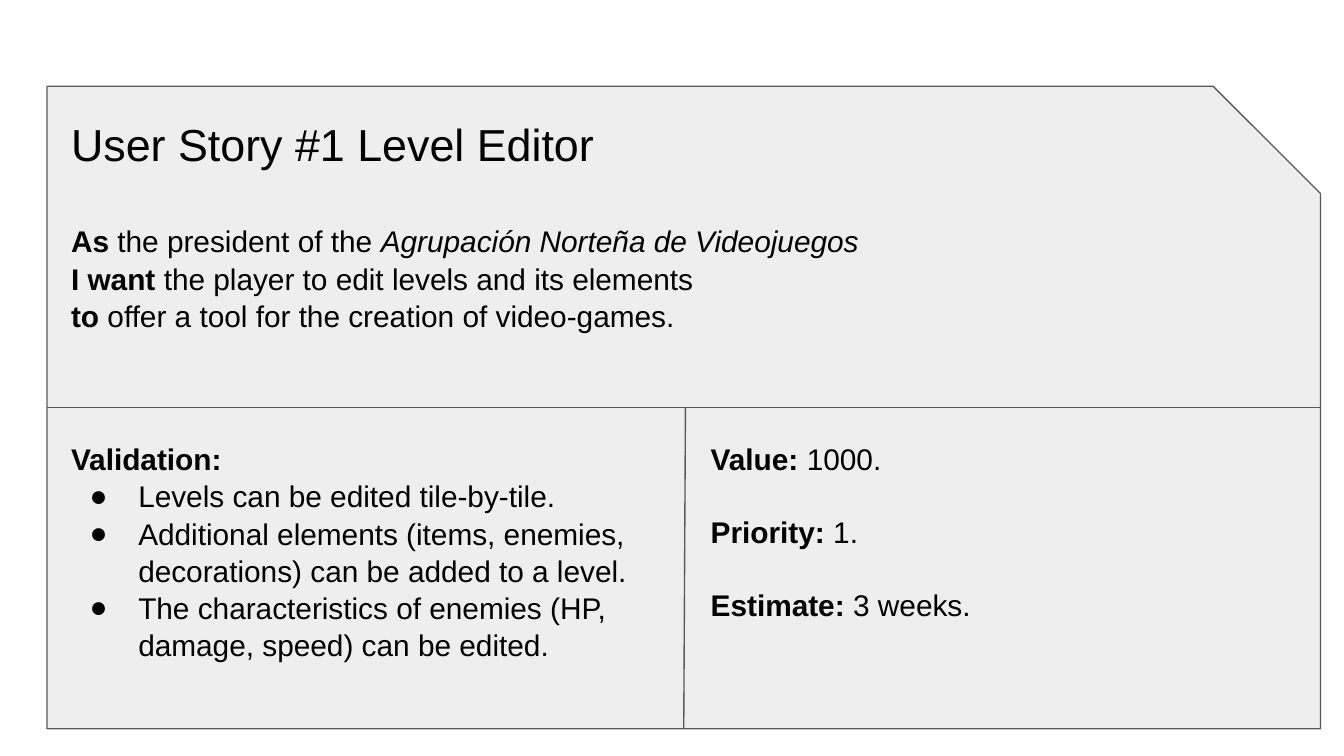
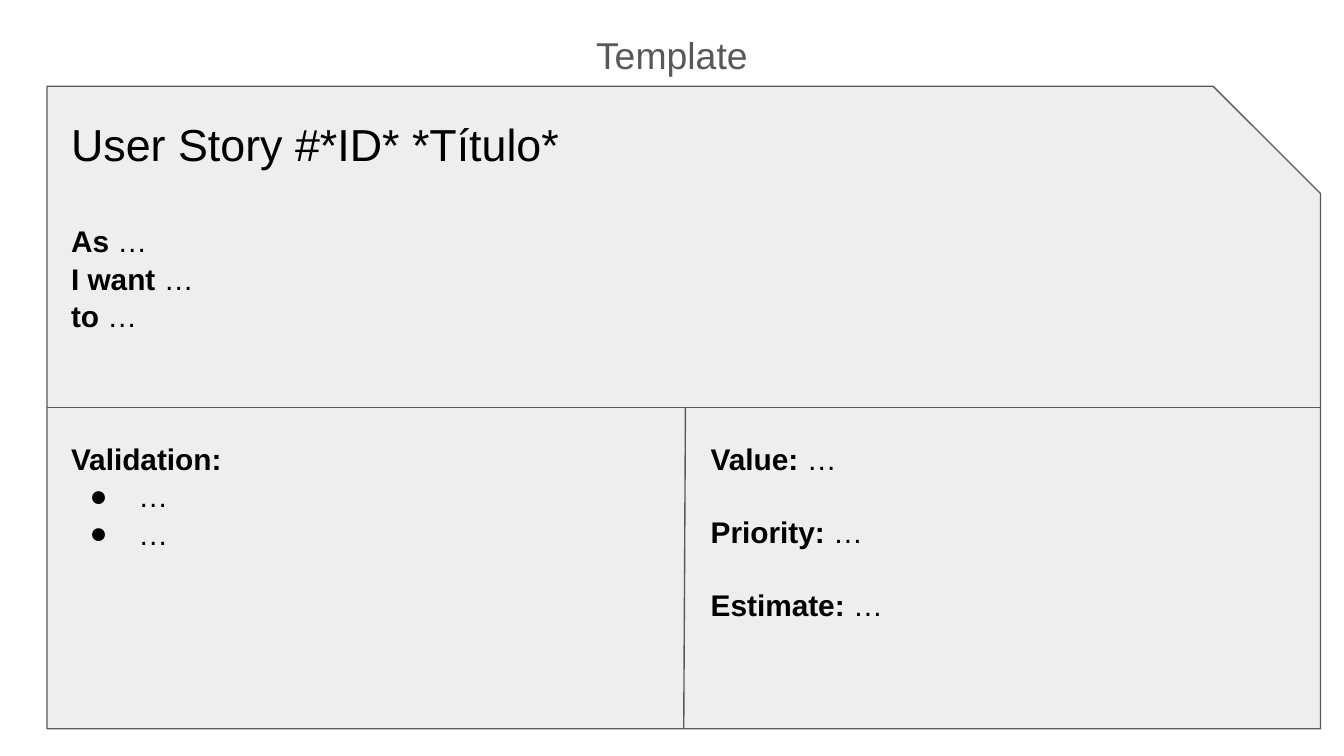
from lxml.etree import SubElement
from pptx import Presentation
from pptx.dml.color import RGBColor
from pptx.enum.shapes import MSO_CONNECTOR, MSO_SHAPE
from pptx.enum.text import MSO_ANCHOR, PP_ALIGN
from pptx.oxml.ns import qn
from pptx.util import Pt

# Shared style
FONT = "Arial"
BLACK = RGBColor(0x00, 0x00, 0x00)
GRAY = RGBColor(0x59, 0x59, 0x59)
CARD_FILL = RGBColor(0xEE, 0xEE, 0xEE)
BODY_SIZE = 16
BODY_SPACING = 1.04
BLANK_LINE = 19.2

# Card geometry, in points
CARD_LEFT, CARD_TOP, CARD_WIDTH, CARD_HEIGHT = 25.2, 46.2, 682.2, 344.2
SNIP = 0.167
MIDDLE_X, MIDDLE_Y = 367.2, CARD_TOP + CARD_HEIGHT / 2
TEXT_LEFT, RIGHT_LEFT = 31, 373.7
HALF_TOP, HALF_WIDTH, HALF_HEIGHT = 228.2, 329, 149.8
INSET = 7.2


def add_bullet(p):
    pPr = p._p.get_or_add_pPr()
    pPr.set("marL", str(Pt(36)))
    pPr.set("indent", str(-Pt(26)))
    color = SubElement(SubElement(pPr, qn("a:buClr")), qn("a:srgbClr"))
    color.set("val", str(BLACK))
    SubElement(pPr, qn("a:buFont")).set("typeface", FONT)
    SubElement(pPr, qn("a:buChar")).set("char", "●")


def add_text(slide, box, paragraphs, size=BODY_SIZE, color=BLACK, align=PP_ALIGN.LEFT,
             spacing=BODY_SPACING, gap=0, bullets_from=None):
    """Each paragraph is a list of (text, style) runs; style holds "b" and/or "i"."""
    tf = slide.shapes.add_textbox(*map(Pt, box)).text_frame
    tf.word_wrap = True
    tf.vertical_anchor = MSO_ANCHOR.TOP
    tf.margin_left = tf.margin_right = tf.margin_top = tf.margin_bottom = Pt(INSET)
    for n, runs in enumerate(paragraphs):
        p = tf.add_paragraph() if n else tf.paragraphs[0]
        p.alignment = align
        p.line_spacing = spacing
        p.space_before = Pt(gap if n else 0)
        if bullets_from is not None and n >= bullets_from:
            add_bullet(p)
        for text, style in runs:
            r = p.add_run()
            r.text = text
            r.font.name = FONT
            r.font.size = Pt(size)
            r.font.color.rgb = color
            r.font.bold = "b" in style
            r.font.italic = "i" in style


def add_card(slide):
    sp = slide.shapes.add_shape(MSO_SHAPE.SNIP_1_RECTANGLE, Pt(CARD_LEFT), Pt(CARD_TOP),
                                Pt(CARD_WIDTH), Pt(CARD_HEIGHT))
    sp.adjustments[0] = SNIP
    sp.shadow.inherit = False
    sp.fill.solid()
    sp.fill.fore_color.rgb = CARD_FILL
    sp.line.color.rgb = GRAY
    sp.line.width = Pt(0.75)
    return sp


def add_divider(slide, card, begin_side, end_side=None):
    line = slide.shapes.add_connector(MSO_CONNECTOR.STRAIGHT, Pt(MIDDLE_X), Pt(MIDDLE_Y),
                                      Pt(MIDDLE_X), Pt(MIDDLE_Y))
    line.begin_connect(card, begin_side)
    if end_side is not None:
        line.end_connect(card, end_side)
    line.line.color.rgb = GRAY
    line.line.width = Pt(0.75)
    SubElement(line._element.spPr, qn("a:effectLst"))


def labelled(label, *runs):
    return [(label + " ", "b"), *runs]


def add_story(prs, title, role, want, goal, checks, value, priority, estimate, heading=None):
    slide = prs.slides.add_slide(prs.slide_layouts[6])
    if heading:
        add_text(slide, (24.5, 10.1, 671, 36.7), [[(heading, "")]], size=20, color=GRAY,
                 align=PP_ALIGN.CENTER, spacing=1.0)
    card = add_card(slide)

    # Title and story
    add_text(slide, (TEXT_LEFT, 55.4, 609, 36.7), [[(title, "")]], size=24, spacing=1.0)
    add_text(slide, (TEXT_LEFT, 111.6, 671.8, 80),
             [labelled("As", *role), labelled("I want", (want, "")), labelled("to", (goal, ""))])

    # Dividers: left to right, then bottom to the middle
    add_divider(slide, card, 1, 3)
    add_divider(slide, card, 2)

    # Validation and planning
    add_text(slide, (TEXT_LEFT, HALF_TOP, HALF_WIDTH, HALF_HEIGHT),
             [[("Validation:", "b")]] + [[(check, "")] for check in checks], bullets_from=1)
    add_text(slide, (RIGHT_LEFT, HALF_TOP, HALF_WIDTH, HALF_HEIGHT),
             [labelled("Value:", (value, "")), labelled("Priority:", (priority, "")),
              labelled("Estimate:", (estimate, ""))], gap=BLANK_LINE)


def main():
    prs = Presentation()
    prs.slide_width, prs.slide_height = Pt(720), Pt(405)

    add_story(prs, "User Story #1 Level Editor",
              role=[("the president of the ", ""), ("Agrupación Norteña de Videojuegos", "i")],
              want="the player to edit levels and its elements",
              goal="offer a tool for the creation of video-games.",
              checks=["Levels can be edited tile-by-tile.",
                      "Additional elements (items, enemies, decorations) can be added to a level.",
                      "The characteristics of enemies (HP, damage, speed) can be edited."],
              value="1000.", priority="1.", estimate="3 weeks.")

    add_story(prs, "User Story #*ID* *Título*", role=[("…", "")], want="…", goal="…",
              checks=["…", "…"], value="…", priority="…", estimate="…", heading="Template")

    prs.save("out.pptx")


if __name__ == "__main__":
    main()
